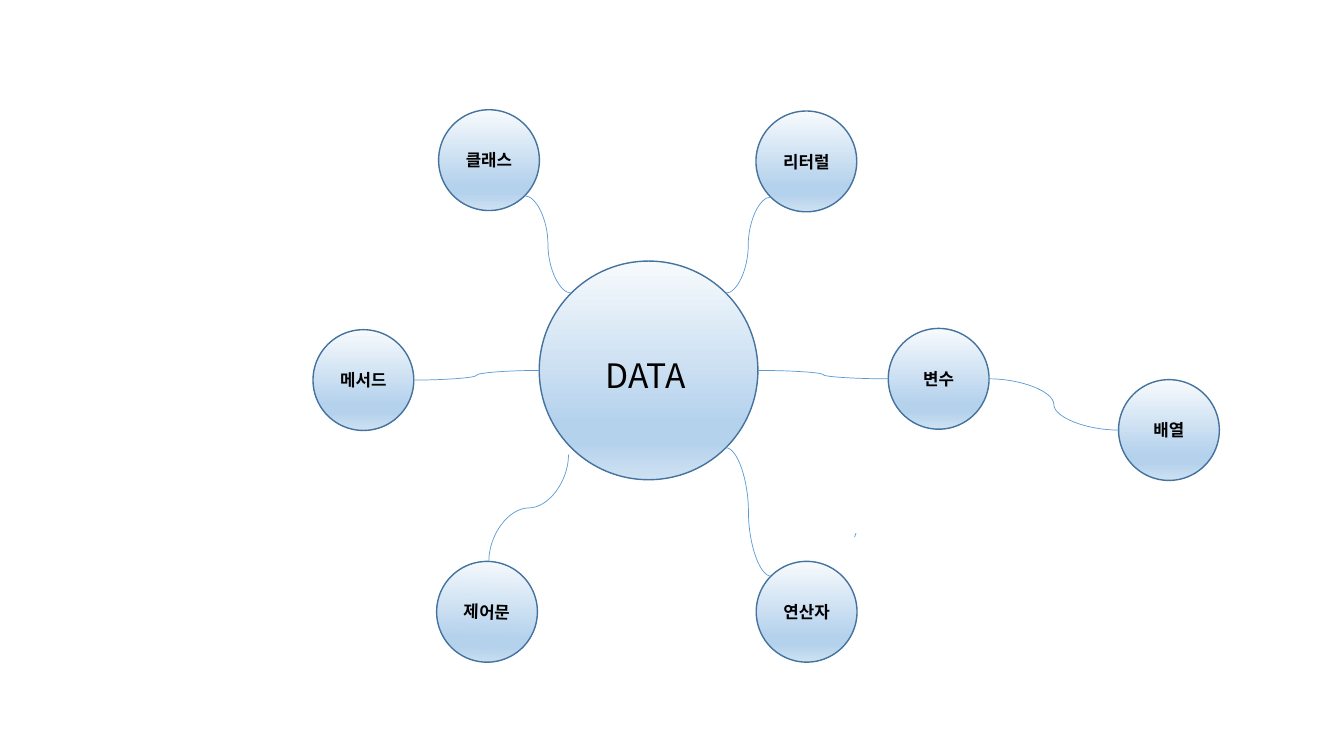
from copy import deepcopy
from dataclasses import dataclass
from math import cos, radians, sin

from lxml.etree import SubElement
from pptx import Presentation
from pptx.dml.color import RGBColor as RGB
from pptx.enum.shapes import MSO_CONNECTOR as LINK, MSO_SHAPE as SHAPE
from pptx.enum.text import MSO_ANCHOR as ANCHOR, PP_ALIGN as ALIGN
from pptx.oxml.ns import qn
from pptx.util import Pt


@dataclass(frozen=True)
class Theme:
    font: str = "Noto Sans CJK KR"
    text: str = "000000"
    outline: str = "43739E"
    link: str = "5B9BD5"
    gradient: tuple = ((0, "F7FAFD"), (0.74, "B5D2EC"), (0.83, "B5D2EC"), (1, "CEE1F2"))
    label_size: float = 12
    hub_size: float = 24
    outline_width: float = 1
    link_width: float = 0.5


@dataclass(frozen=True)
class Circle:
    left: float
    top: float
    size: float = 72
    turn: float = 0

    def rim(self, angle):
        """Point on the rim, clockwise in degrees from the right-hand side."""
        radius, theta = self.size / 2, radians(angle + self.turn)
        return (self.left + radius * (1 + cos(theta)),
                self.top + radius * (1 + sin(theta)))


class MindMap:
    def __init__(self, slide, theme):
        self.slide, self.theme = slide, theme

    def label(self, shape, text, size, bold, anchor):
        frame = shape.text_frame
        for name, value in {"word_wrap": True, "vertical_anchor": anchor}.items():
            setattr(frame, name, value)
        line = frame.paragraphs[0]
        line.alignment = ALIGN.CENTER
        run = line.add_run()
        run.text = text
        font_format = {"name": self.theme.font, "size": Pt(size), "bold": bold}
        for name, value in font_format.items():
            setattr(run.font, name, value)
        run.font.color.rgb = RGB.from_string(self.theme.text)
        SubElement(run.font._element, qn("a:ea"), typeface=self.theme.font)

    def bubble(self, circle, topic=None):
        shape = self.slide.shapes.add_shape(
            SHAPE.OVAL, Pt(circle.left), Pt(circle.top), Pt(circle.size), Pt(circle.size))
        shape.shadow.inherit = False
        shape.rotation = circle.turn
        shape.fill.gradient()
        shape.fill.gradient_angle = 270
        # The default gradient has two stops; repeat them to get four
        stop_list = shape._element.spPr.find(".//" + qn("a:gsLst"))
        for stop in list(stop_list):
            stop_list.append(deepcopy(stop))
        for stop, (position, colour) in zip(shape.fill.gradient_stops, self.theme.gradient):
            stop.position = position
            stop.color.rgb = RGB.from_string(colour)
        shape.line.color.rgb = RGB.from_string(self.theme.outline)
        shape.line.width = Pt(self.theme.outline_width)
        if topic:
            self.label(shape, topic, self.theme.label_size, True, ANCHOR.MIDDLE)

    def caption(self, text, left, top, width, height):
        box = self.slide.shapes.add_textbox(Pt(left), Pt(top), Pt(width), Pt(height))
        self.label(box, text, self.theme.hub_size, False, ANCHOR.TOP)

    def curve(self, start, end, upright=False):
        if upright:
            # Lay the ends a quarter turn back, then rotate the curve upright
            mid_x, mid_y = (start[0] + end[0]) / 2, (start[1] + end[1]) / 2
            start, end = [(mid_x + y - mid_y, mid_y - x + mid_x) for x, y in (start, end)]
        link = self.slide.shapes.add_connector(
            LINK.CURVE, *(Pt(value) for value in (*start, *end)))
        link.line.color.rgb = RGB.from_string(self.theme.link)
        link.line.width = Pt(self.theme.link_width)
        outline = link._element.spPr
        if upright:
            outline.find(qn("a:xfrm")).set("rot", str(90 * 60000))
        SubElement(outline, qn("a:effectLst"))


def main():
    deck = Presentation()
    deck.slide_width, deck.slide_height = Pt(960), Pt(540)
    mind_map = MindMap(deck.slides.add_slide(deck.slide_layouts[6]), Theme())

    # Topics around the hub
    hub = Circle(385.2, 186.5, 156.2)
    topics = {
        "리터럴": Circle(540, 79.3),
        "변수": Circle(634.5, 234.6),
        "연산자": Circle(540.2, 401),
        "클래스": Circle(313.3, 78.4),
        "메서드": Circle(223.6, 235.5),
        "제어문": Circle(311.9, 401, turn=2),
        "배열": Circle(799, 271.2),
    }
    mind_map.bubble(hub)
    for topic, circle in topics.items():
        mind_map.bubble(circle, topic)
    mind_map.caption("DATA", 411.8, 249.8, 98.6, 36.7)

    # Curves from rim to rim
    right, lower_right, lower_left, left, upper_left, top, upper_right = (
        0, 45, 135, 180, 225, 270, 315)
    links = [
        (topics["클래스"], lower_right, hub, upper_left),
        (topics["리터럴"], lower_left, hub, upper_right),
        (hub, right, topics["변수"], left),
        (hub, lower_right, topics["연산자"], upper_left),
        (topics["메서드"], right, hub, left),
        (topics["변수"], right, topics["배열"], left),
    ]
    for source, source_angle, target, target_angle in links:
        mind_map.curve(source.rim(source_angle), target.rim(target_angle))

    # Upright curves: the control-flow branch and a short loose stroke
    mind_map.curve((406.1, 324.7), topics["제어문"].rim(top), upright=True)
    mind_map.curve((610.4, 383.6), (611.4, 380.8), upright=True)

    deck.save("out.pptx")


if __name__ == "__main__":
    main()
